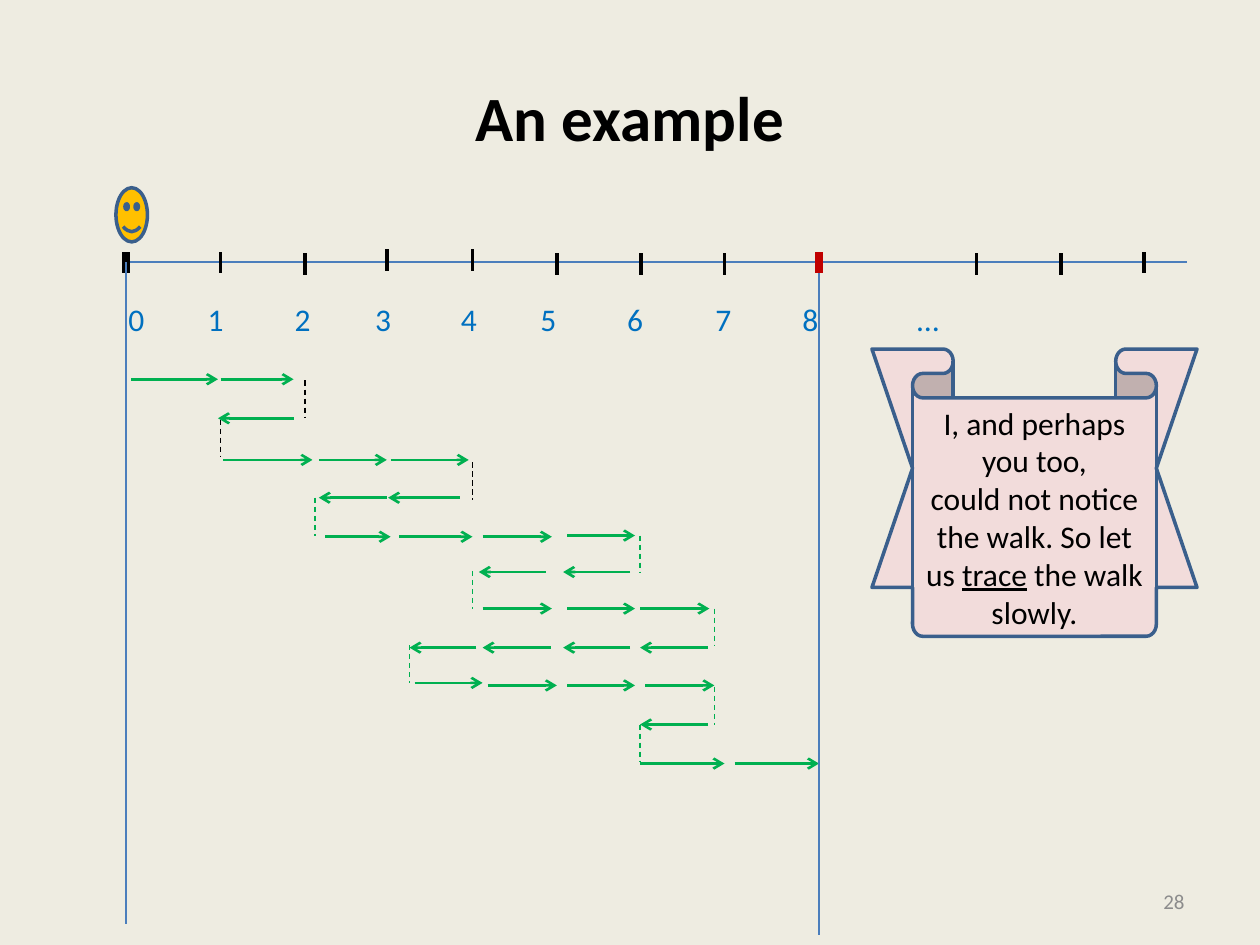
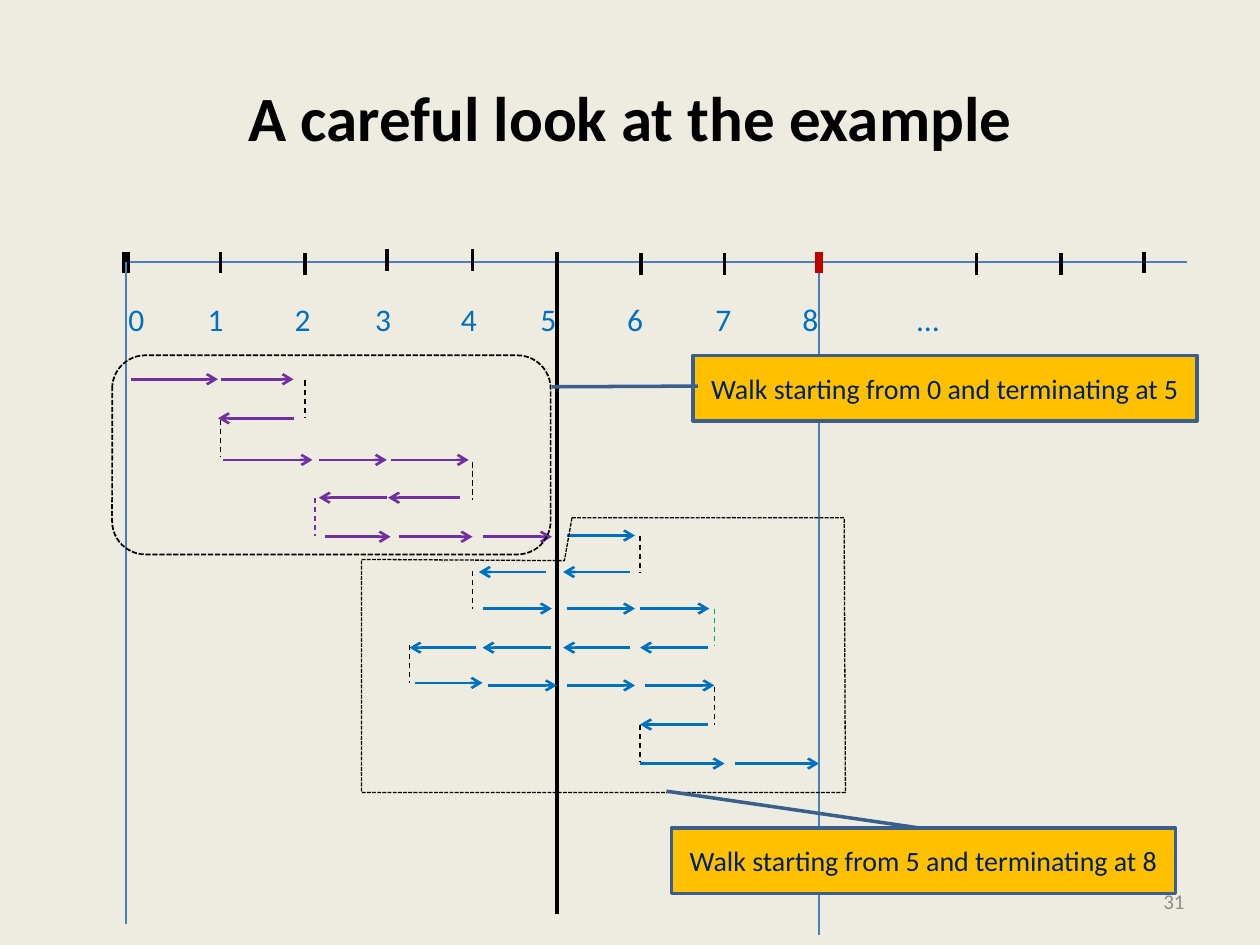
from dataclasses import dataclass
from typing import NamedTuple

from lxml.etree import SubElement
from pptx import Presentation
from pptx.dml.color import RGBColor
from pptx.enum.dml import MSO_LINE_DASH_STYLE as Dash
from pptx.enum.shapes import MSO_CONNECTOR, MSO_SHAPE as Preset
from pptx.enum.text import MSO_ANCHOR as Anchor, PP_ALIGN as Align
from pptx.oxml.ns import qn
from pptx.util import Emu, Pt

PX = 9144  # EMU per px, 100 px to the inch
FONT = "Calibri"
COLORS = {
    "paper": "EEECE1", "black": "000000", "gray": "8C8C8C", "axis": "4B7EBC",
    "outline": "3A5F8C", "red": "C00000", "blue": "0070C0", "green": "00B050",
    "purple": "7030A0", "gold": "FFC000", "pink": "F2DCDB", "navy": "002060",
}


class Point(NamedTuple):
    x: int
    y: int


class Area(NamedTuple):
    left: int
    top: int
    width: int
    height: int


class Row(NamedTuple):
    """Steps of the walk at one height, each from one x to another."""
    y: int
    steps: list[tuple[int, int]]


class Turn(NamedTuple):
    """Dashed drop between two rows, with its colour on each slide."""
    x: int
    top: int
    plain: str
    split: str


@dataclass(frozen=True)
class Stroke:
    color: str
    width: float
    dash: Dash | None = None
    arrow: bool = False


@dataclass(frozen=True)
class Lettering:
    size: int
    color: str
    align: Align = Align.CENTER
    bold: bool = False
    anchor: Anchor = Anchor.MIDDLE


@dataclass(frozen=True)
class Callout:
    text: str
    area: Area
    pointer: tuple[float, float, float, float]


AXIS_Y, ORIGIN_X, MIDDLE_X, GOAL_X = 208, 100, 442, 650
TICK_HEIGHT, GUIDE_HEIGHT, TURN_HEIGHT = 17, 525, 30
TICKS = [Point(175, 200), Point(242, 201), Point(307, 198), Point(375, 198),
         Point(442, 201), Point(509, 201), Point(575, 201), Point(775, 201),
         Point(842, 201), Point(908, 200)]
LABELS = [*"012345678", "…"]
LABEL_STOPS = [63, 132, 196, 264, 327, 396, 466, 535, 626]

WALK_TO_5 = [
    Row(301, [(104, 173), (175, 233)]),
    Row(332, [(233, 173)]),
    Row(365, [(177, 248), (253, 307), (310, 372)]),
    Row(395, [(365, 308), (307, 253)]),
    Row(426, [(258, 310), (317, 375), (383, 438)]),
]
WALK_TO_8 = [
    Row(425, [(450, 504)]),
    Row(454, [(500, 447), (433, 380)]),
    Row(483, [(383, 438), (450, 504), (508, 563)]),
    Row(514, [(562, 508), (500, 447), (437, 383), (378, 325)]),
    Row(542, [(329, 383)]),
    Row(544, [(387, 442), (450, 504), (512, 567)]),
    Row(575, [(562, 508)]),
    Row(606, [(508, 575), (583, 650)]),
]
TURNS = [
    Turn(242, 302, "black", "black"), Turn(175, 333, "black", "black"),
    Turn(375, 367, "black", "black"), Turn(250, 395, "green", "purple"),
    Turn(508, 425, "green", "black"), Turn(375, 453, "green", "black"),
    Turn(325, 512, "green", "black"), Turn(567, 483, "green", "green"),
    Turn(567, 545, "green", "black"), Turn(508, 575, "green", "black"),
]
SECOND_WALK_OUTLINE = [
    Point(454, 411), Point(670, 411), Point(671, 629), Point(287, 629),
    Point(287, 444), Point(448, 445),
]
CALLOUTS = [
    Callout("Walk starting from 0 and terminating at 5",
            Area(550, 282, 400, 52), (0.47, 0.01, 0.48, -0.28)),
    Callout("Walk starting from 5 and terminating at 8",
            Area(533, 657, 400, 52), (0, 0.49, -0.56, -0.01)),
]


def rgb(name: str) -> RGBColor:
    return RGBColor.from_string(COLORS[name])


def emu(lengths) -> list[Emu]:
    return [Emu(length * PX) for length in lengths]


def apply_stroke(line, stroke: Stroke) -> None:
    line.color.rgb = rgb(stroke.color)
    line.width = Pt(stroke.width)
    if stroke.dash is not None:
        line.dash_style = stroke.dash


def format_runs(frame, style: Lettering) -> None:
    frame.word_wrap = True
    frame.vertical_anchor = style.anchor
    for para in frame.paragraphs:
        para.alignment = style.align
        for span in para.runs:
            span.font.name = FONT
            span.font.size = Pt(style.size)
            span.font.bold = style.bold
            span.font.color.rgb = rgb(style.color)


def add_line(page, start: Point, end: Point, stroke: Stroke) -> None:
    connector = page.shapes.add_connector(MSO_CONNECTOR.STRAIGHT, *emu((*start, *end)))
    apply_stroke(connector.line, stroke)
    properties = connector._element.spPr
    if stroke.arrow:
        SubElement(properties.find(qn("a:ln")), qn("a:tailEnd"), type="arrow")
    SubElement(properties, qn("a:effectLst"))


def add_vertical(page, top: Point, height: int, stroke: Stroke) -> None:
    add_line(page, top, Point(top.x, top.y + height), stroke)


def style_shape(shape, stroke: Stroke, fill: str | None = None) -> None:
    shape.shadow.inherit = False
    apply_stroke(shape.line, stroke)
    if fill is None:
        shape.fill.background()
    else:
        shape.fill.solid()
        shape.fill.fore_color.rgb = rgb(fill)


def add_preset(page, preset: Preset, area: Area, stroke: Stroke,
               fill: str | None = None, adjustments: tuple[float, ...] = ()):
    shape = page.shapes.add_shape(preset, *emu(area))
    style_shape(shape, stroke, fill)
    for index, value in enumerate(adjustments):
        shape.adjustments[index] = value
    return shape


def add_text(page, text: str, area: Area, style: Lettering):
    box = page.shapes.add_textbox(*emu(area))
    box.text_frame.text = text
    format_runs(box.text_frame, style)
    return box


def add_page(deck, title: str, number: str):
    page = deck.slides.add_slide(deck.slide_layouts[5])
    heading = page.shapes.title
    heading.left, heading.top, heading.width, heading.height = emu((50, 30, 900, 125))
    heading.text_frame.text = title
    format_runs(heading.text_frame, Lettering(36, "black", bold=True))
    add_text(page, number, Area(717, 695, 233, 40), Lettering(12, "gray", Align.RIGHT))
    return page


def add_number_line(page) -> None:
    add_line(page, Point(ORIGIN_X, AXIS_Y), Point(942, AXIS_Y), Stroke("axis", 1.5))
    for tick in TICKS:
        add_vertical(page, tick, TICK_HEIGHT, Stroke("black", 2.25))
    for x, color in ((ORIGIN_X, "black"), (GOAL_X, "red")):
        add_vertical(page, Point(x, 200), TICK_HEIGHT, Stroke(color, 4.5))
    labels = add_text(page, "\t".join(LABELS), Area(92, 233, 786, 40),
                      Lettering(18, "blue", Align.LEFT, anchor=Anchor.TOP))
    properties = labels.text_frame.paragraphs[0]._p.get_or_add_pPr()
    stops = SubElement(properties, qn("a:tabLst"))
    for stop in LABEL_STOPS:
        SubElement(stops, qn("a:tab"), pos=str(stop * PX), algn="l")


def add_walk(page, rows: list[Row], color: str) -> None:
    for row in rows:
        for start, end in row.steps:
            add_line(page, Point(start, row.y), Point(end, row.y),
                     Stroke(color, 1.5, arrow=True))


def add_turns(page, colors: list[str]) -> None:
    for turn, color in zip(TURNS, colors):
        add_vertical(page, Point(turn.x, turn.top), TURN_HEIGHT,
                     Stroke(color, 0.75, Dash.DASH))


def add_guides(page) -> None:
    """Draw the long verticals under the origin and the goal."""
    for top in (Point(GOAL_X, 217), Point(ORIGIN_X, AXIS_Y)):
        add_vertical(page, top, GUIDE_HEIGHT, Stroke("axis", 0.75))


def build_example(deck) -> None:
    page = add_page(deck, "An example", "28")
    add_number_line(page)
    outline = Stroke("outline", 2)
    add_preset(page, Preset.SMILEY_FACE, Area(92, 149, 25, 43), outline, "gold")
    add_turns(page, [turn.plain for turn in TURNS])
    add_walk(page, WALK_TO_5 + WALK_TO_8, "green")
    add_guides(page)

    ribbon = add_preset(page, Preset.DOWN_RIBBON, Area(692, 277, 258, 228),
                        outline, "pink", (0.17, 0.75))
    frame = ribbon.text_frame
    frame.text = "I, and perhaps you too,"
    para = frame.add_paragraph()
    for words in ("could not notice the walk. So let us ", "trace", " the walk slowly."):
        span = para.add_run()
        span.text = words
        span.font.underline = words == "trace"
    format_runs(frame, Lettering(18, "black"))


def build_careful_look(deck) -> None:
    page = add_page(deck, "A careful look at the example", "31")
    add_number_line(page)
    add_vertical(page, Point(MIDDLE_X, 200), GUIDE_HEIGHT, Stroke("black", 2.25))
    add_turns(page, [turn.split for turn in TURNS])
    add_walk(page, WALK_TO_5, "purple")
    add_walk(page, WALK_TO_8, "blue")
    add_guides(page)

    first, *others = SECOND_WALK_OUTLINE
    builder = page.shapes.build_freeform(*first, scale=PX)
    builder.add_line_segments(others, close=True)
    style_shape(builder.convert_to_shape(), Stroke("black", 0.75, Dash.SQUARE_DOT))
    add_preset(page, Preset.ROUNDED_RECTANGLE, Area(89, 282, 348, 158),
               Stroke("black", 1, Dash.SQUARE_DOT))

    for callout in CALLOUTS:
        shape = add_preset(page, Preset.LINE_CALLOUT_1, callout.area,
                           Stroke("outline", 2), "gold", callout.pointer)
        shape.text_frame.text = callout.text
        format_runs(shape.text_frame, Lettering(16, "navy"))


def main() -> None:
    deck = Presentation()
    deck.slide_width, deck.slide_height = emu((1000, 750))
    backdrop = deck.slide_master.background.fill
    backdrop.solid()
    backdrop.fore_color.rgb = rgb("paper")
    build_example(deck)
    build_careful_look(deck)
    deck.save("out.pptx")


if __name__ == "__main__":
    main()
